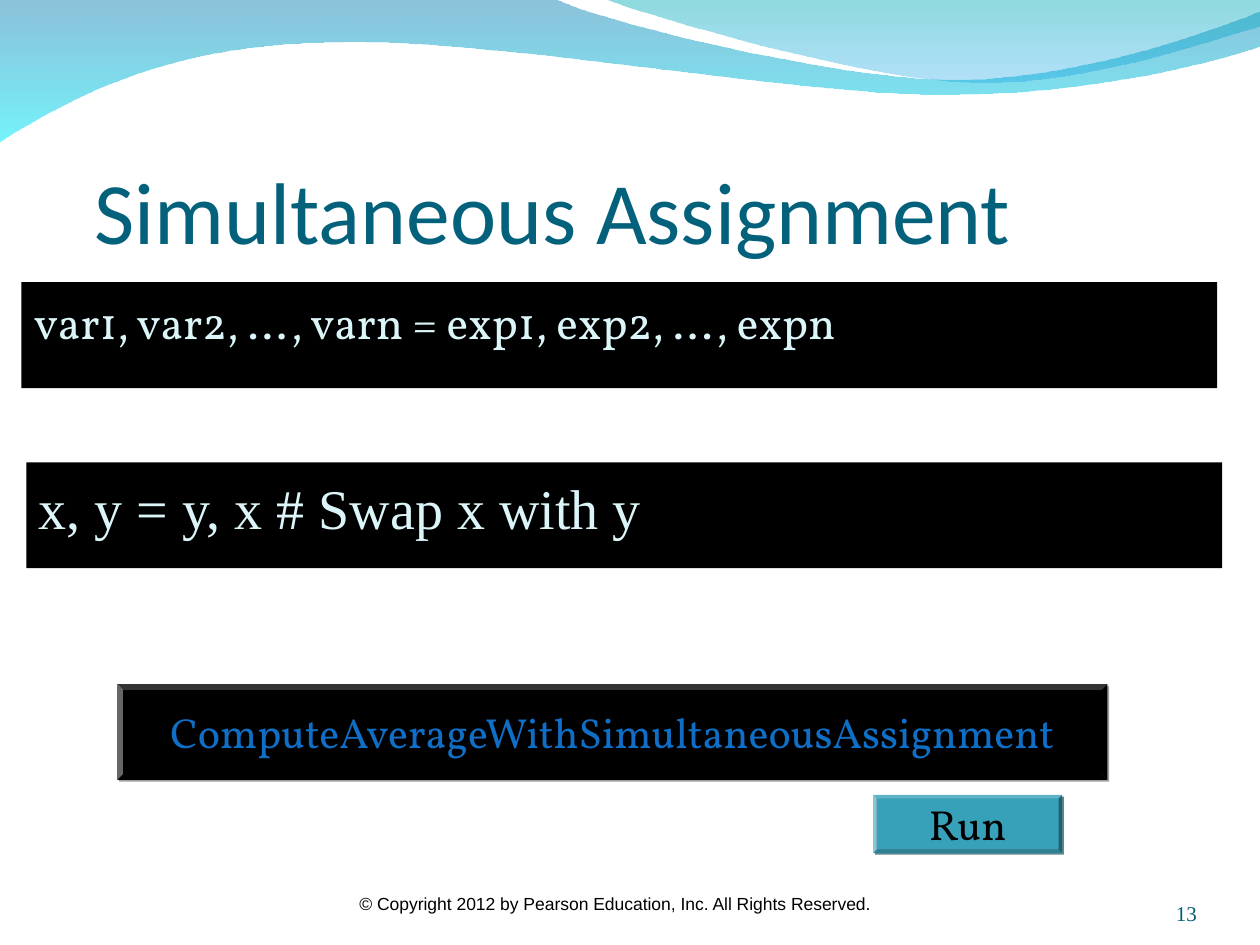
from pptx import Presentation
from pptx.dml.color import RGBColor
from pptx.enum.shapes import MSO_SHAPE
from pptx.enum.text import MSO_ANCHOR, MSO_AUTO_SIZE, PP_ALIGN
from pptx.oxml import parse_xml
from pptx.oxml.ns import nsdecls, qn
from pptx.util import Inches, Pt

RECT, BEVEL = MSO_SHAPE.RECTANGLE, MSO_SHAPE.BEVEL
TOP, MIDDLE, BOTTOM = MSO_ANCHOR.TOP, MSO_ANCHOR.MIDDLE, MSO_ANCHOR.BOTTOM
LEFT, CENTER, RIGHT = PP_ALIGN.LEFT, PP_ALIGN.CENTER, PP_ALIGN.RIGHT
NO_FIT = MSO_AUTO_SIZE.NONE

COLORS = {
    "black": "000000", "title": "04617B", "code": "DBF5F9",
    "link": "0F6FC6", "number": "045C75", "run": "38A1BA",
    "gray": "808080", "teal": "226170",
}
STEPS = 24

# A pair is a line to a point; six numbers are a Bézier curve.
WAVE = [
    (0, -0.01), (4.4, -0.01),
    (4.76, 0.17, 6.64, 0.63, 7.58, 0.63), (8.53, 0.63, 9.58, 0.26, 10, 0.09),
    (10.01, 0.36),
    (9.83, 0.44, 8.7, 0.76, 7.46, 0.75), (6.22, 0.75, 3.82, 0.28, 2.57, 0.34),
    (1.29, 0.35, 0.46, 0.83, -0.01, 1.13),
]
CREST = [
    (4.79, -0.01),
    (5.09, 0.11, 6.82, 0.62, 7.69, 0.65), (8.56, 0.69, 9.61, 0.32, 10, 0.21),
    (10, 0),
]


def color(name):
    return RGBColor.from_string(COLORS[name])


def trace(parts):
    """Turn lines and Bézier curves into a list of points."""
    points = []
    for part in parts:
        if len(part) == 2:
            points.append(part)
            continue
        ends = [points[-1], part[:2], part[2:4], part[4:]]
        for step in range(1, STEPS + 1):
            t = step / STEPS
            u = 1 - t
            rates = (u ** 3, 3 * u * u * t, 3 * u * t * t, t ** 3)
            points.append(tuple(
                sum(r * p[axis] for r, p in zip(rates, ends))
                for axis in (0, 1)))
    return points


def add_wave(slide, parts, stops):
    """Draw a curved band; stops are (colour, opacity in percent)."""
    points = [(Inches(x), Inches(y)) for x, y in trace(parts)]
    pen = slide.shapes.build_freeform(*points[0])
    pen.add_line_segments(points[1:], close=True)
    shape = pen.convert_to_shape()
    shape.shadow.inherit = False
    shape.line.fill.background()
    shape.fill.gradient()
    shape.fill.gradient_angle = 270
    for stop, (tone, _) in zip(shape.fill.gradient_stops, stops):
        stop.color.rgb = RGBColor.from_string(tone)
    tones = shape.element.spPr.iter(qn("a:srgbClr"))
    for tone, (_, alpha) in zip(tones, stops):
        tone.append(parse_xml(
            f'<a:alpha {nsdecls("a")} val="{alpha * 1000}"/>'))


def set_text(shape, text, font, size, tone, align=LEFT, anchor=TOP,
             insets=(0.1, 0.05, 0.1, 0.05), wrap=True):
    frame = shape.text_frame
    frame.text = text
    frame.auto_size = NO_FIT
    frame.word_wrap = wrap
    frame.vertical_anchor = anchor
    (frame.margin_left, frame.margin_top,
     frame.margin_right, frame.margin_bottom) = map(Inches, insets)
    para = frame.paragraphs[0]
    para.alignment = align
    para.font.name = font
    para.font.size = Pt(size)
    para.font.color.rgb = color(tone)


def add_label(slide, box, *args, **style):
    set_text(slide.shapes.add_textbox(*map(Inches, box)), *args, **style)


def add_block(slide, kind, box, fill):
    shape = slide.shapes.add_shape(kind, *map(Inches, box))
    shape.shadow.inherit = False
    shape.fill.solid()
    shape.fill.fore_color.rgb = color(fill)
    shape.line.fill.background()
    return shape


def add_code(slide, box, text, font, size):
    bar = add_block(slide, RECT, box, "black")
    set_text(bar, text, font, size, "code", insets=(0.1, 0.09, 0.1, 0.05))


def add_button(slide, box, text, fill, tone, shade):
    button = add_block(slide, BEVEL, box, fill)
    button.adjustments[0] = 0.06
    button.element.spPr.find(qn("a:effectLst")).append(parse_xml(
        f'<a:outerShdw {nsdecls("a")} dist="17780" dir="2700000">'
        f'<a:srgbClr val="{COLORS[shade]}"><a:alpha val="75000"/></a:srgbClr>'
        '</a:outerShdw>'))
    set_text(button, text, "Vollkorn", 24, tone, CENTER, MIDDLE, wrap=False)


def main():
    deck = Presentation()
    deck.slide_width, deck.slide_height = Inches(10), Inches(7.5)
    slide = deck.slides.add_slide(deck.slide_layouts[5])

    add_wave(slide, WAVE, [("0079AF", 45), ("00EBF8", 55)])
    add_wave(slide, CREST, [("00ADB6", 45), ("009BE5", 30)])

    title = slide.shapes.title
    title.left, title.top = Inches(0.75), Inches(0.25)
    title.width, title.height = Inches(8.5), Inches(1.83)
    set_text(title, "Simultaneous Assignment", "Calibri", 50, "title",
             anchor=BOTTOM, insets=(0, 0.05, 0, 0))

    add_code(slide, (0.17, 2.24, 9.49, 0.84),
             "var1, var2, ..., varn = exp1, exp2, ..., expn", "Vollkorn", 26)
    add_code(slide, (0.21, 3.67, 9.49, 0.84),
             "x, y = y, x # Swap x with y", "Times New Roman", 32)

    add_button(slide, (0.93, 5.43, 7.86, 0.76),
               "ComputeAverageWithSimultaneousAssignment",
               "black", "link", "gray")
    add_button(slide, (6.93, 6.31, 1.5, 0.46), "Run", "run", "black", "teal")

    add_label(slide, (1.83, 7.04, 6.1, 0.46),
              "© Copyright 2012 by Pearson Education, Inc. "
              "All Rights Reserved.", "Arial", 10, "black", CENTER)
    add_label(slide, (8.67, 6.95, 0.83, 0.4), "13", "Times New Roman", 12,
              "number", RIGHT, BOTTOM, insets=(0, 0, 0, 0))

    deck.save("out.pptx")


if __name__ == "__main__":
    main()
